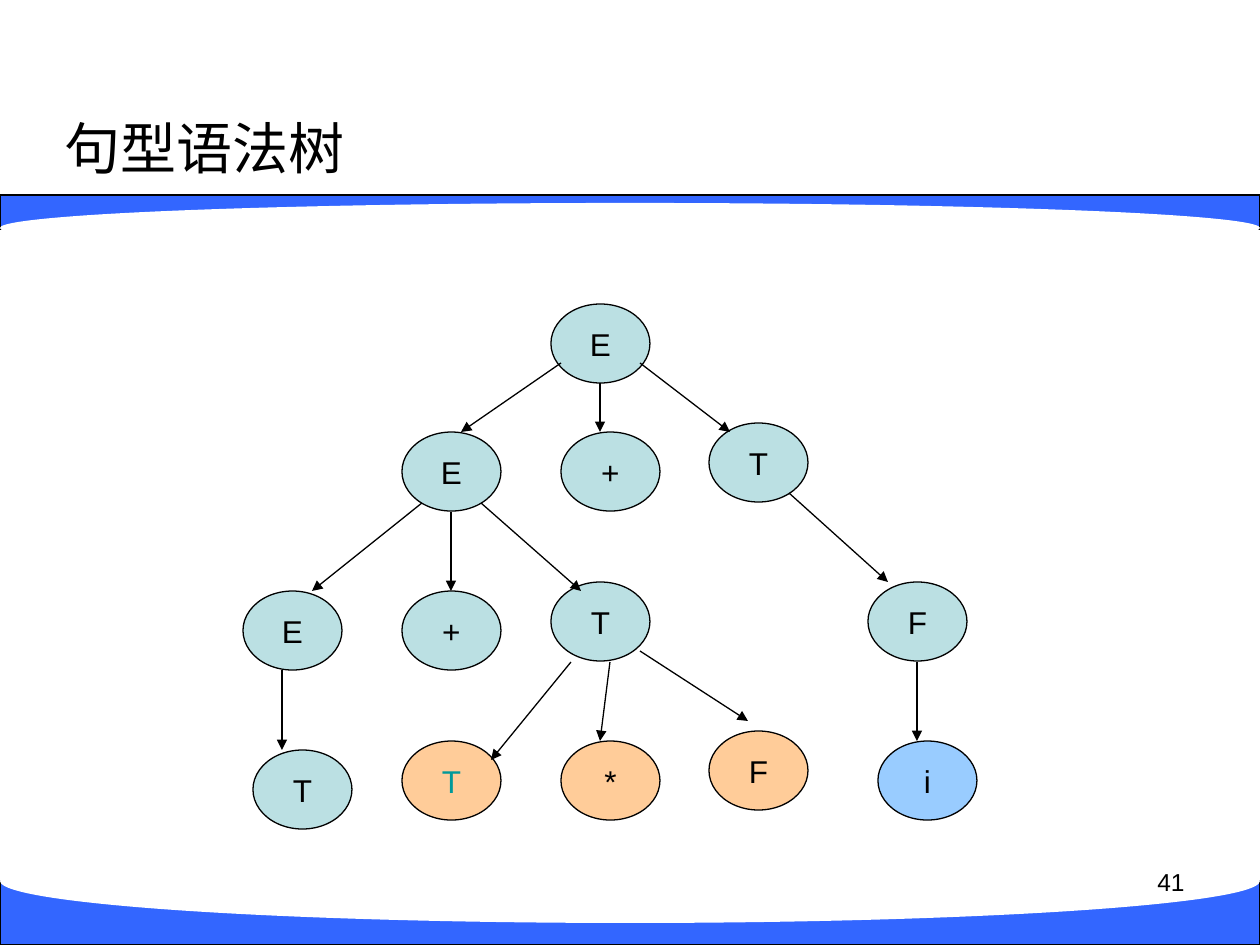
from dataclasses import dataclass

from lxml.etree import SubElement
from pptx import Presentation
from pptx.dml.color import RGBColor
from pptx.enum.shapes import MSO_CONNECTOR, MSO_SHAPE
from pptx.enum.text import MSO_ANCHOR, PP_ALIGN
from pptx.oxml.ns import qn
from pptx.util import Pt

PX = 914400 / 126


@dataclass(frozen=True)
class Theme:
    font: str = "Arial"
    ink: str = "000000"
    paper: str = "FFFFFF"
    band: str = "3366FF"
    node: str = "BBE0E3"
    handle: str = "FFCC99"
    terminal: str = "99CCFF"
    accent: str = "009999"
    title_size: int = 32
    node_size: int = 18
    number_size: int = 14
    line_width: float = 0.75


THEME = Theme()
NODE_WIDTH, NODE_HEIGHT = 99, 79

# Symbol, left, top, fill, text colour; relative to the tree's box
NODES = [
    ("E", 308, 0, THEME.node, THEME.ink),
    ("E", 159, 128, THEME.node, THEME.ink),
    ("T", 466, 119, THEME.node, THEME.ink),
    ("+", 318, 128, THEME.node, THEME.ink),
    ("E", 0, 287, THEME.node, THEME.ink),
    ("T", 308, 278, THEME.node, THEME.ink),
    ("+", 159, 287, THEME.node, THEME.ink),
    ("T", 159, 437, THEME.handle, THEME.accent),
    ("F", 466, 427, THEME.handle, THEME.ink),
    ("*", 318, 437, THEME.handle, THEME.ink),
    ("T", 10, 446, THEME.node, THEME.ink),
    ("F", 625, 278, THEME.node, THEME.ink),
    ("i", 635, 437, THEME.terminal, THEME.ink),
]

# Start x, y and end x, y; relative to the tree's box
ARROWS = [
    (318, 59, 218, 128),
    (357, 79, 357, 128),
    (397, 59, 487, 128),
    (546, 189, 645, 278),
    (674, 358, 674, 437),
    (179, 199, 69, 287),
    (208, 208, 208, 287),
    (238, 199, 338, 287),
    (39, 366, 39, 446),
    (328, 358, 248, 456),
    (367, 358, 357, 437),
    (397, 347, 505, 417),
]


def emu(*lengths):
    return [round(length * PX) for length in lengths]


def style_line(line):
    line.color.rgb = RGBColor.from_string(THEME.ink)
    line.width = Pt(THEME.line_width)


def style_text(paragraph, size, color, alignment):
    paragraph.alignment = alignment
    paragraph.font.name = THEME.font
    paragraph.font.size = Pt(size)
    paragraph.font.color.rgb = RGBColor.from_string(color)


def add_filled(slide, kind, box, fill, outlined=True):
    shape = slide.shapes.add_shape(kind, *emu(*box))
    shape.shadow.inherit = False
    shape.fill.solid()
    shape.fill.fore_color.rgb = RGBColor.from_string(fill)
    if outlined:
        style_line(shape.line)
    else:
        shape.line.fill.background()
    return shape


def add_band(slide, box, curve_top, curve_height):
    """Coloured bar with one edge hollowed out by a white ellipse."""
    left, top, width, height = box
    add_filled(slide, MSO_SHAPE.RECTANGLE, box, THEME.band)
    curve = (left, top + curve_top, width, curve_height)
    add_filled(slide, MSO_SHAPE.OVAL, curve, THEME.paper, outlined=False)


def add_title(slide, box, text):
    title = slide.shapes.title
    title.left, title.top, title.width, title.height = emu(*box)
    title.text_frame.text = text
    title.text_frame.vertical_anchor = MSO_ANCHOR.MIDDLE
    style_text(title.text_frame.paragraphs[0], THEME.title_size, THEME.ink, PP_ALIGN.LEFT)


def add_slide_number(slide, box, text):
    frame = slide.shapes.add_textbox(*emu(*box)).text_frame
    frame.word_wrap = True
    frame.text = text
    style_text(frame.paragraphs[0], THEME.number_size, THEME.ink, PP_ALIGN.RIGHT)


def add_node(slide, box, symbol, fill, color):
    frame = add_filled(slide, MSO_SHAPE.OVAL, box, fill).text_frame
    frame.word_wrap = False
    frame.vertical_anchor = MSO_ANCHOR.MIDDLE
    frame.text = symbol
    style_text(frame.paragraphs[0], THEME.node_size, color, PP_ALIGN.CENTER)


def add_arrow(slide, ends):
    connector = slide.shapes.add_connector(MSO_CONNECTOR.STRAIGHT, *emu(*ends))
    style_line(connector.line)
    properties = connector._element.spPr
    SubElement(properties.find(qn("a:ln")), qn("a:tailEnd"), type="triangle")
    SubElement(properties, qn("a:effectLst"))


def add_syntax_tree(slide, left, top):
    for symbol, x, y, fill, color in NODES:
        box = (left + x, top + y, NODE_WIDTH, NODE_HEIGHT)
        add_node(slide, box, symbol, fill, color)
    for x1, y1, x2, y2 in ARROWS:
        add_arrow(slide, (left + x1, top + y1, left + x2, top + y2))


def main():
    presentation = Presentation()
    presentation.slide_width, presentation.slide_height = emu(1260, 945)
    slide = presentation.slides.add_slide(presentation.slide_layouts[5])

    # Bands above and below the content
    add_band(slide, (0, 195, 1260, 34), curve_top=8, curve_height=50)
    add_band(slide, (0, 881, 1260, 64), curve_top=-42, curve_height=84)

    # Title and slide number
    add_title(slide, (52, 107, 1177, 81), "句型语法树")
    add_slide_number(slide, (903, 861, 294, 65), "41")

    # Syntax tree
    add_syntax_tree(slide, 243, 304)
    presentation.save("out.pptx")


if __name__ == "__main__":
    main()
